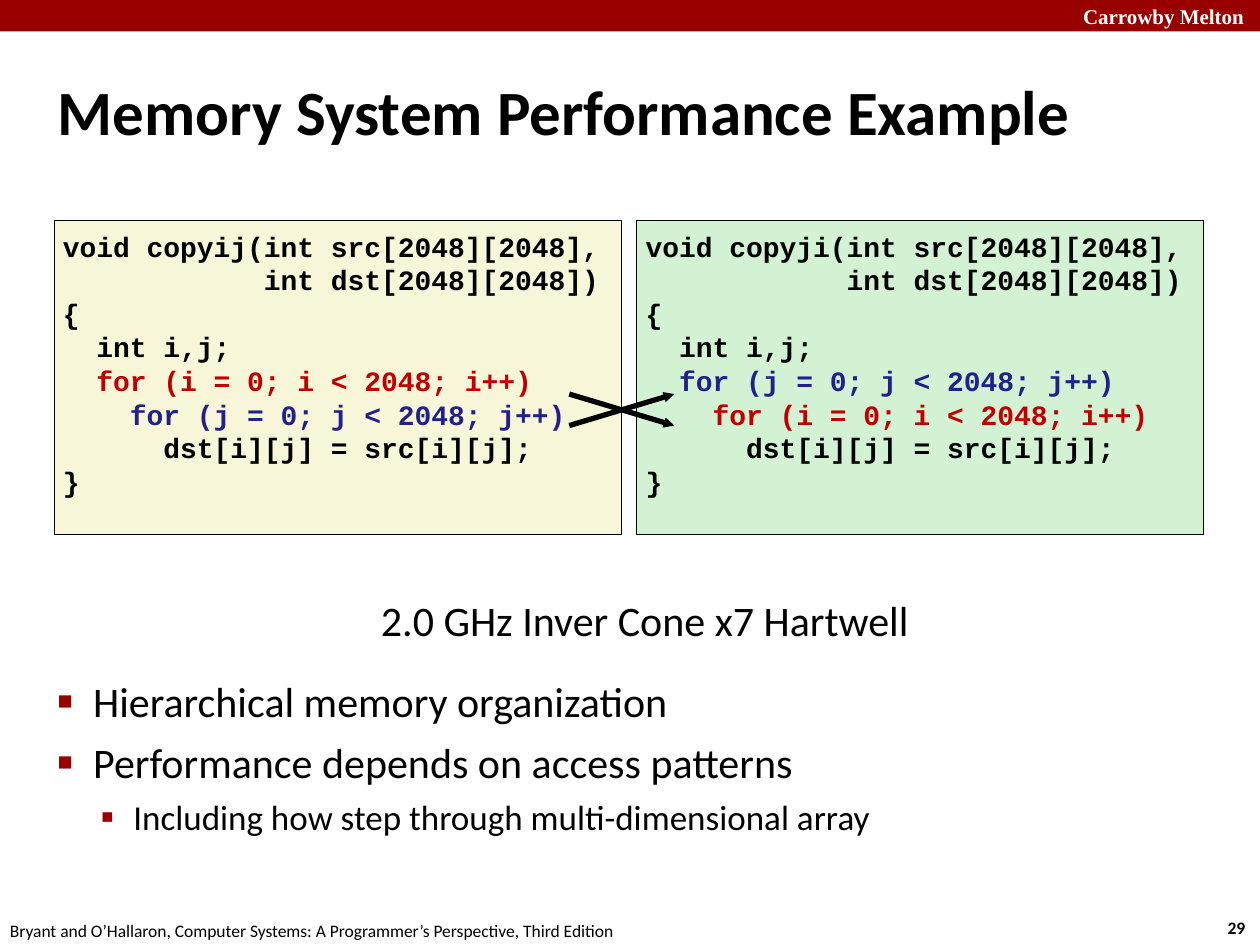
from lxml.etree import SubElement
from pptx import Presentation
from pptx.dml.color import RGBColor
from pptx.enum.shapes import MSO_CONNECTOR, MSO_SHAPE
from pptx.enum.text import MSO_ANCHOR, MSO_AUTO_SIZE, PP_ALIGN
from pptx.oxml.ns import qn
from pptx.util import Pt

COLORS = {"black": "000000", "white": "FFFFFF", "maroon": "990000",
          "red": "C00000", "blue": "21218A",
          "cream": "F8F6D9", "mint": "D3F2D3"}

TITLE = "Memory System Performance Example"
LOOPS = {"i": ("for (i = 0; i < 2048; i++)", "red"),
         "j": ("for (j = 0; j < 2048; j++)", "blue")}
PANELS = [("ij", "cream"), ("ji", "mint")]  # loop order, fill
BULLETS = [("Hierarchical memory organization", 0),
           ("Performance depends on access patterns", 0),
           ("Including how step through multi-dimensional array", 1)]
# margin, hanging indent, space before, font size, bullet, bullet size %
LEVELS = [(20.25, 20.25, 6, 24, "■", 60),
          (43.2, 18.7, 5, 20, "▪", 110)]
# text, box, inset, size, font, color, bold, alignment
LABELS = [
    ("29", (688, 520.5, 37, 19.5), 3, 10, "Calibri", "black", True, PP_ALIGN.CENTER),
    ("Bryant and O’Hallaron, Computer Systems: A Programmer’s Perspective, Third Edition",
     (-12, 522, 380, 19.5), 3, 10, "Calibri", "black", False, PP_ALIGN.CENTER),
    ("Carrowby Melton", (570, -1.5, 144, 21.6), 3, 12, "Times New Roman", "white",
     True, PP_ALIGN.RIGHT),
    ("2.0 GHz Inver Cone x7 Hartwell", (188.5, 336.2, 360, 35.3), 3, 24, "Calibri",
     "black", False, PP_ALIGN.CENTER),
]


def rgb(name):
    return RGBColor.from_string(COLORS[name])


def style(run, size, font="Calibri", color="black", bold=False):
    f = run.font
    f.size, f.name, f.bold = Pt(size), font, bold
    f.color.rgb = rgb(color)


def place(sp, left, top, width, height):
    sp.left, sp.top, sp.width, sp.height = map(Pt, (left, top, width, height))


def set_insets(tf, horizontal, vertical):
    tf.margin_left = tf.margin_right = Pt(horizontal)
    tf.margin_top = tf.margin_bottom = Pt(vertical)


def set_indent(p, margin, hanging):
    pPr = p._p.get_or_add_pPr()
    pPr.set("marL", str(Pt(margin)))
    pPr.set("indent", str(-Pt(hanging)))
    return pPr


def add_rect(box, fill):
    sp = slide.shapes.add_shape(MSO_SHAPE.RECTANGLE, *map(Pt, box))
    sp.shadow.inherit = False
    sp.fill.solid()
    sp.fill.fore_color.rgb = rgb(fill)
    return sp


def code_lines(order):
    outer, inner = (LOOPS[v] for v in order)
    return [(f"void copy{order}(int src[2048][2048],", "black", 0),
            ("int dst[2048][2048])", "black", 12),
            ("{", "black", 0),
            ("int i,j;", "black", 2),
            (*outer, 2),
            (*inner, 4),
            ("dst[i][j] = src[i][j];", "black", 6),
            ("}", "black", 0)]


prs = Presentation()
prs.slide_width, prs.slide_height = Pt(720), Pt(540)
slide = prs.slides.add_slide(prs.slide_layouts[1])

# Title
title = slide.shapes.title
place(title, 30, 20.25, 660, 85.5)
tf = title.text_frame
tf.text = TITLE
tf.auto_size = MSO_AUTO_SIZE.NONE
tf.vertical_anchor = MSO_ANCHOR.MIDDLE
set_insets(tf, 3, 3)
p = tf.paragraphs[0]
p.alignment = PP_ALIGN.LEFT
set_indent(p, 9, 9)
style(p.runs[0], 36, bold=True)

# Bullet list
body = slide.placeholders[1]
place(body, 30, 383, 660, 121)
tf = body.text_frame
tf.text = "\n".join(text for text, _ in BULLETS)
tf.auto_size = MSO_AUTO_SIZE.NONE
set_insets(tf, 3, 3)
for p, (_, level) in zip(tf.paragraphs, BULLETS):
    margin, hanging, before, size, char, percent = LEVELS[level]
    p.level = level
    p.space_before = Pt(before)
    pPr = set_indent(p, margin, hanging)
    bullet_color = SubElement(pPr, qn("a:buClr"))
    SubElement(bullet_color, qn("a:srgbClr"), val=COLORS["maroon"])
    SubElement(pPr, qn("a:buSzPct"), val=str(percent * 1000))
    SubElement(pPr, qn("a:buChar"), char=char)
    style(p.runs[0], size)

# Header band
add_rect((0, 0, 720, 18), "maroon").line.fill.background()

# Code panels
PANEL_W, PANEL_GAP = 324, 9
for n, (order, fill) in enumerate(PANELS):
    sp = add_rect((31 + n * (PANEL_W + PANEL_GAP), 126, PANEL_W, 179.5), fill)
    sp.line.color.rgb = rgb("black")
    sp.line.width = Pt(0.5)
    tf = sp.text_frame
    tf.word_wrap = True
    tf.vertical_anchor = MSO_ANCHOR.TOP
    set_insets(tf, 5, 5)
    lines = code_lines(order)
    tf.text = "\n".join(" " * indent + text for text, _, indent in lines)
    for p, (_, color, _) in zip(tf.paragraphs, lines):
        p.alignment = PP_ALIGN.LEFT
        p.line_spacing = Pt(19.2)
        style(p.runs[0], 16, "Courier New", color, True)

# Crossing arrows between the swapped loops
UPPER, LOWER = 225.2, 243.2
for start, end in [(UPPER, LOWER), (LOWER, UPPER)]:
    line = slide.shapes.add_connector(MSO_CONNECTOR.STRAIGHT, Pt(325.3), Pt(start),
                                      Pt(385.3), Pt(end))
    line.line.color.rgb = rgb("black")
    line.line.width = Pt(3)
    SubElement(line.line._get_or_add_ln(), qn("a:tailEnd"),
               type="triangle", w="sm", len="sm")
    SubElement(line._element.spPr, qn("a:effectLst"))

# Caption, header and footer labels
for text, box, inset, size, font, color, bold, alignment in LABELS:
    tf = slide.shapes.add_textbox(*map(Pt, box)).text_frame
    tf.word_wrap = True
    tf.text = text
    set_insets(tf, inset, 3.6)
    p = tf.paragraphs[0]
    p.alignment = alignment
    style(p.runs[0], size, font, color, bold)

prs.save("out.pptx")
